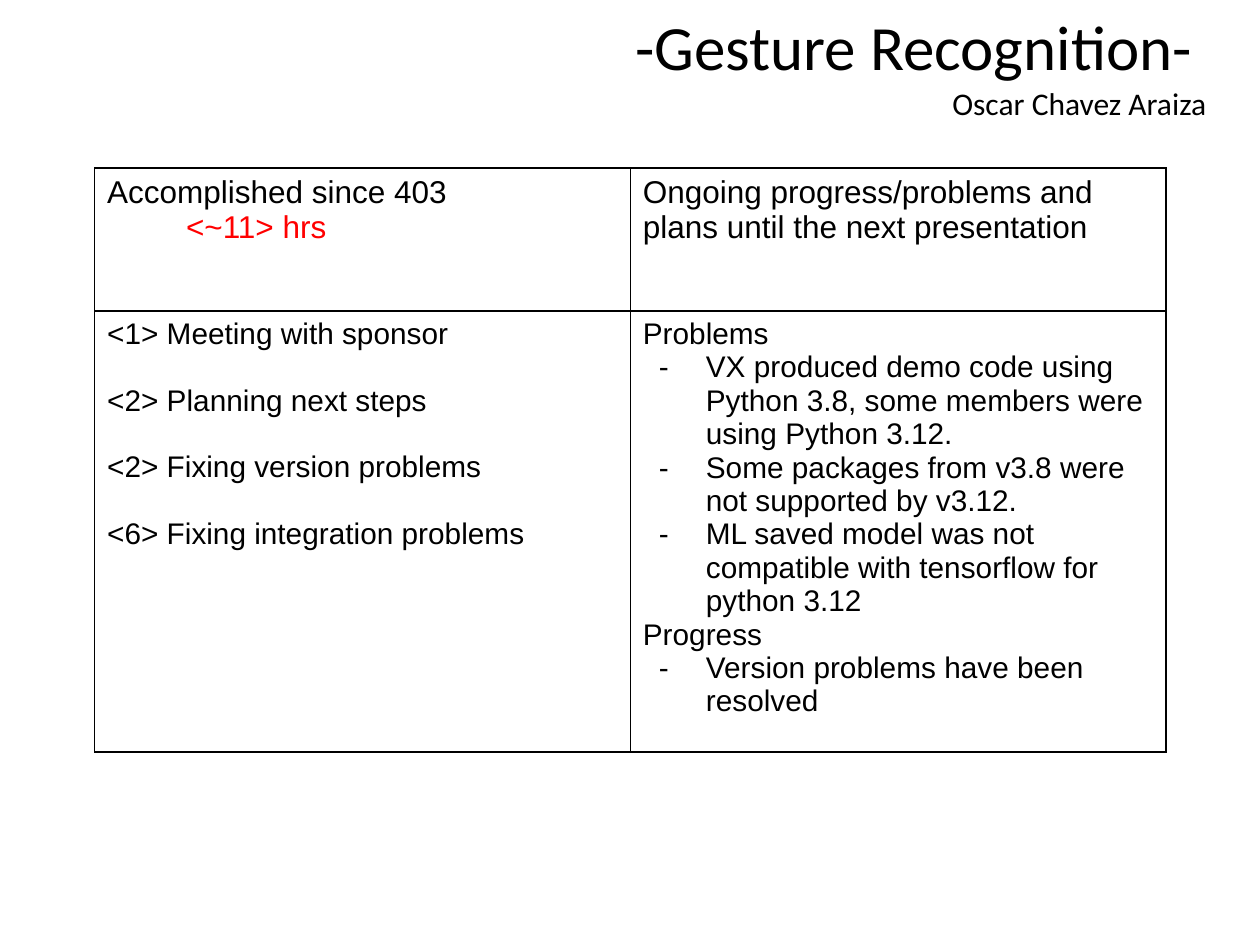
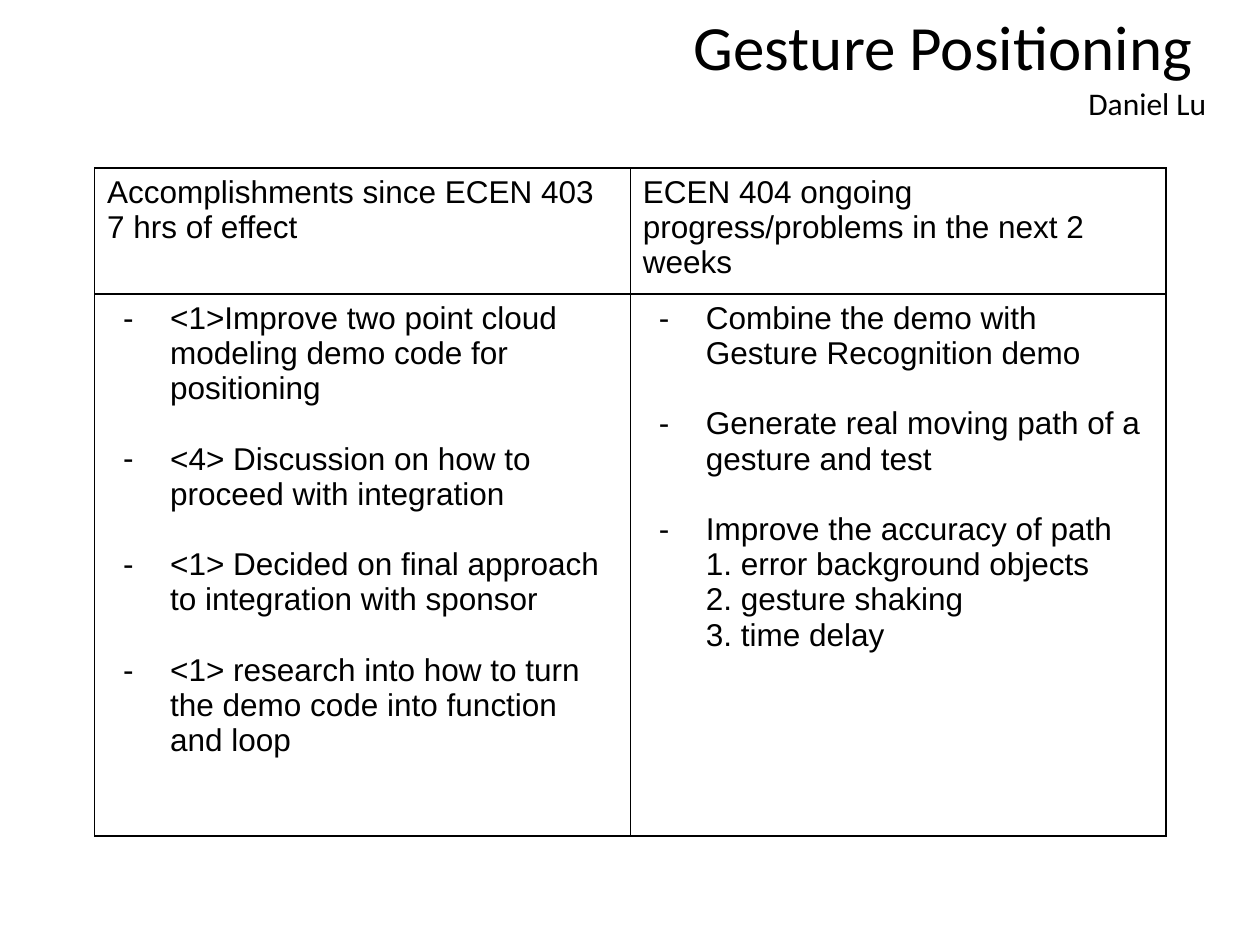
from lxml.etree import SubElement
from pptx import Presentation
from pptx.dml.color import RGBColor
from pptx.enum.text import MSO_ANCHOR, MSO_AUTO_SIZE, PP_ALIGN
from pptx.oxml.ns import qn
from pptx.util import Cm, Pt

HUES = {"ink": "000000", "alert": "FF0000"}

DECK = [
    {
        "title": "-Gesture Recognition- ",
        "name": "Oscar Chavez Araiza",
        "rows": (2.88, 8.89),
        "heads": (
            [("plain", "Accomplished since 403"), ("hours", "<~11> hrs")],
            [("plain", "Ongoing progress/problems and plans until the next presentation")],
        ),
        "size": 17,
        "gaps": (19, 0),
        "lists": (
            [
                ("plain", "<1> Meeting with sponsor"),
                ("plain", "<2> Planning next steps"),
                ("plain", "<2> Fixing version problems"),
                ("plain", "<6> Fixing integration problems"),
            ],
            [
                ("plain", "Problems"),
                ("dash", "VX produced demo code using Python 3.8, some members were using Python 3.12."),
                ("dash", "Some packages from v3.8 were not supported by v3.12."),
                ("dash", "ML saved model was not compatible with tensorflow for python 3.12"),
                ("plain", "Progress"),
                ("dash", "Version problems have been resolved"),
            ],
        ),
    },
    {
        "title": "Gesture Positioning ",
        "name": "Daniel Lu",
        "rows": (2.54, 10.92),
        "heads": (
            [("plain", "Accomplishments since ECEN 403"), ("plain", "7 hrs of effect")],
            [("plain", "ECEN 404 ongoing progress/problems in the next 2 weeks")],
        ),
        "size": 18,
        "gaps": (20, 20),
        "lists": (
            [
                ("dash", "<1>Improve two point cloud modeling demo code for positioning"),
                ("dash", "<4> Discussion on how to proceed with integration"),
                ("dash", "<1> Decided on final approach to integration with sponsor"),
                ("dash", "<1> research into how to turn the demo code into function and loop"),
            ],
            [
                ("dash", "Combine the demo with Gesture Recognition demo"),
                ("dash", "Generate real moving path of a gesture and test"),
                ("dash", "Improve the accuracy of path"),
                ("step", "1. error background objects"),
                ("step", "2. gesture shaking"),
                ("step", "3. time delay"),
            ],
        ),
    },
]

KINDS = {
    "plain": {"left": 0, "hang": 0, "hue": "ink"},
    "dash": {"left": 1.27, "hang": -0.95, "hue": "ink"},
    "step": {"left": 1.27, "hang": 0, "hue": "ink"},
    "hours": {"left": 1.59, "hang": 0, "hue": "alert"},
}
TITLE = {"left": 6.15, "top": 0.03, "width": 18.42, "height": 2.57}
TABLE = {"left": 1.91, "top": 3.39, "column": 10.8}
PAD = {"margin_left": Cm(0.25), "margin_right": Cm(0.25),
       "margin_top": Cm(0.13), "margin_bottom": Cm(0.13)}


def apply(target, values):
    for key, value in values.items():
        setattr(target, key, value)


def style(font, face, size, hue="ink"):
    apply(font, {"name": face, "size": Pt(size), "bold": False})
    font.color.rgb = RGBColor.from_string(HUES[hue])


def tint(node, hue):
    SubElement(node, qn("a:srgbClr"), val=HUES[hue])


def add_title(slide, title, name):
    shape = slide.shapes.title
    apply(shape, {key: Cm(value) for key, value in TITLE.items()})
    frame = shape.text_frame
    apply(frame, {**PAD, "word_wrap": True, "auto_size": MSO_AUTO_SIZE.NONE,
                  "vertical_anchor": MSO_ANCHOR.TOP})
    frame.text = f"{title}\n{name}"
    for para, size in zip(frame.paragraphs, (36, 18)):
        para.alignment = PP_ALIGN.RIGHT
        style(para.runs[0].font, "Calibri", size)


def add_line(para, kind, text, size):
    look = KINDS[kind]
    props = para._p.get_or_add_pPr()
    props.set("marL", str(Cm(look["left"])))
    props.set("indent", str(Cm(look["hang"])))
    if kind == "dash":
        tint(SubElement(props, qn("a:buClr")), "ink")
        SubElement(props, qn("a:buFont"), typeface="Arial")
        SubElement(props, qn("a:buChar"), char="-")
    run = para.add_run()
    run.text = text
    style(run.font, "Arial", size, look["hue"])


def add_borders(cell):
    props = cell._tc.get_or_add_tcPr()
    for side in "LRTB":
        line = SubElement(props, qn(f"a:ln{side}"), w=str(Pt(1)))
        tint(SubElement(line, qn("a:solidFill")), "ink")


def fill_cell(cell, lines, size, gap=0):
    apply(cell, PAD)
    add_borders(cell)
    cell.fill.background()
    frame = cell.text_frame
    for rank, (kind, text) in enumerate(lines):
        para = frame.add_paragraph() if rank else frame.paragraphs[0]
        add_line(para, kind, text, size)
        if rank and gap and kind != "step":
            para.space_before = Pt(gap)


def add_grid(slide, page):
    table = slide.shapes.add_table(
        2, 2, Cm(TABLE["left"]), Cm(TABLE["top"]),
        Cm(2 * TABLE["column"]), Cm(sum(page["rows"]))).table
    apply(table, {"first_row": False, "horz_banding": False})
    for row, height in zip(table.rows, page["rows"]):
        row.height = Cm(height)
    for col in range(2):
        table.columns[col].width = Cm(TABLE["column"])
        fill_cell(table.cell(0, col), page["heads"][col], 18)
        fill_cell(table.cell(1, col), page["lists"][col], page["size"], page["gaps"][col])


def main():
    deck = Presentation()
    apply(deck, {"slide_width": Cm(25.4), "slide_height": Cm(19.05)})
    for page in DECK:
        slide = deck.slides.add_slide(deck.slide_layouts[5])
        add_title(slide, page["title"], page["name"])
        add_grid(slide, page)
    deck.save("out.pptx")


if __name__ == "__main__":
    main()
